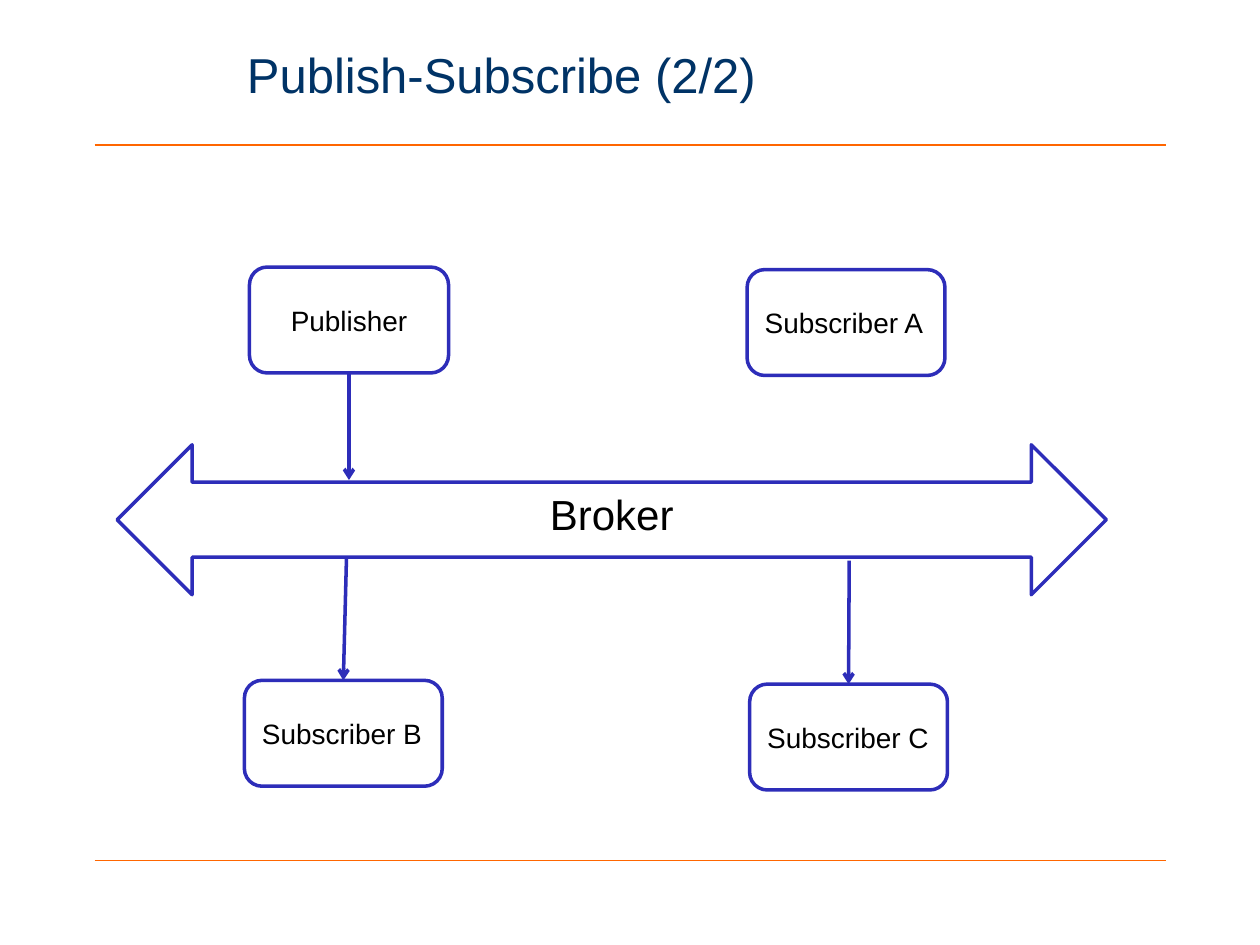
from lxml import etree
from pptx import Presentation
from pptx import util as u
from pptx.dml.color import RGBColor
from pptx.enum import shapes, text
from pptx.oxml.ns import qn

NAVY = RGBColor(0x00, 0x33, 0x66)
ORANGE = RGBColor(0xFF, 0x66, 0x00)
BLUE = RGBColor(0x2D, 0x2D, 0xB9)
WHITE = RGBColor(0xFF, 0xFF, 0xFF)
BLACK = RGBColor(0x00, 0x00, 0x00)

WIDTH, HEIGHT = 10, 7.5
MARGIN = 0.75
RULES = (6.83, 1.15)
TITLE = ("Publish-Subscribe (2/2)", (1.86, 0.13, 6.21, 0.92))
BROKER = ("Broker", (0.93, 3.53, 7.85, 1.19))
BOX_HEIGHT = 0.84
TOP, BOTTOM = 0, 2
CENTER, LEFT = text.PP_ALIGN.CENTER, text.PP_ALIGN.LEFT
NODES = [
    ("Publisher", 1.98, 2.12, 1.58, CENTER),
    ("Subscriber A", 5.93, 2.14, 1.57, LEFT),
    ("Subscriber B", 1.94, 5.4, 1.57, LEFT),
    ("Subscriber C", 5.95, 5.43, 1.57, LEFT),
]
ARROWS = [
    {"start": "Publisher", "end": (2.77, 3.81)},
    {"start": (2.75, 4.42), "end": "Subscriber B"},
    {"start": (6.74, 4.45), "end": "Subscriber C"},
]


def inches(values):
    return [u.Inches(value) for value in values]


def write(shape, words, size, color, align, anchor):
    frame = shape.text_frame
    frame.text = words
    settings = {"word_wrap": True, "auto_size": text.MSO_AUTO_SIZE.NONE,
                "vertical_anchor": anchor, "margin_right": u.Inches(0.1 if align == CENTER else 0.05)}
    for name, value in settings.items():
        setattr(frame, name, value)
    paragraph = frame.paragraphs[0]
    paragraph.alignment = align
    font = paragraph.runs[0].font
    for name, value in {"name": "Arial", "size": u.Pt(size), "bold": False}.items():
        setattr(font, name, value)
    font.color.rgb = color


def add_block(slide, kind, place, words, size, align, anchor):
    shape = slide.shapes.add_shape(kind, *inches(place))
    shape.shadow.inherit = False
    shape.fill.solid()
    shape.fill.fore_color.rgb = WHITE
    shape.line.color.rgb = BLUE
    shape.line.width = u.Pt(2)
    write(shape, words, size, BLACK, align, anchor)
    return shape


def add_line(slide, start, end, color, width):
    line = slide.shapes.add_connector(shapes.MSO_CONNECTOR.STRAIGHT, *inches(start + end))
    line.line.color.rgb = color
    line.line.width = u.Pt(width)
    etree.SubElement(line._element.spPr, qn("a:effectLst"))
    return line


def add_arrow(slide, boxes, start, end):
    points = [(0, 0) if isinstance(point, str) else point for point in (start, end)]
    arrow = add_line(slide, *points, BLUE, 2)
    if start in boxes:
        arrow.begin_connect(boxes[start], BOTTOM)
    if end in boxes:
        arrow.end_connect(boxes[end], TOP)
    etree.SubElement(arrow.line._get_or_add_ln(), qn("a:tailEnd"), type="arrow")


def main():
    """Build the publish-subscribe slide."""
    presentation = Presentation()
    presentation.slide_width, presentation.slide_height = inches((WIDTH, HEIGHT))
    slide = presentation.slides.add_slide(presentation.slide_layouts[5])
    for y in RULES:
        add_line(slide, (MARGIN, y), (WIDTH - MARGIN, y), ORANGE, 0.75)

    words, place = TITLE
    title = slide.shapes.title
    title.left, title.top, title.width, title.height = inches(place)
    write(title, words, 28, NAVY, LEFT, text.MSO_ANCHOR.MIDDLE)

    words, place = BROKER
    add_block(slide, shapes.MSO_SHAPE.LEFT_RIGHT_ARROW, place, words, 24,
              CENTER, text.MSO_ANCHOR.TOP)
    boxes = {}
    for words, left, top, width, align in NODES:
        boxes[words] = add_block(slide, shapes.MSO_SHAPE.ROUNDED_RECTANGLE,
                                 (left, top, width, BOX_HEIGHT), words, 16,
                                 align, text.MSO_ANCHOR.MIDDLE)
    for arrow in ARROWS:
        add_arrow(slide, boxes, **arrow)
    presentation.save("out.pptx")


if __name__ == "__main__":
    main()
